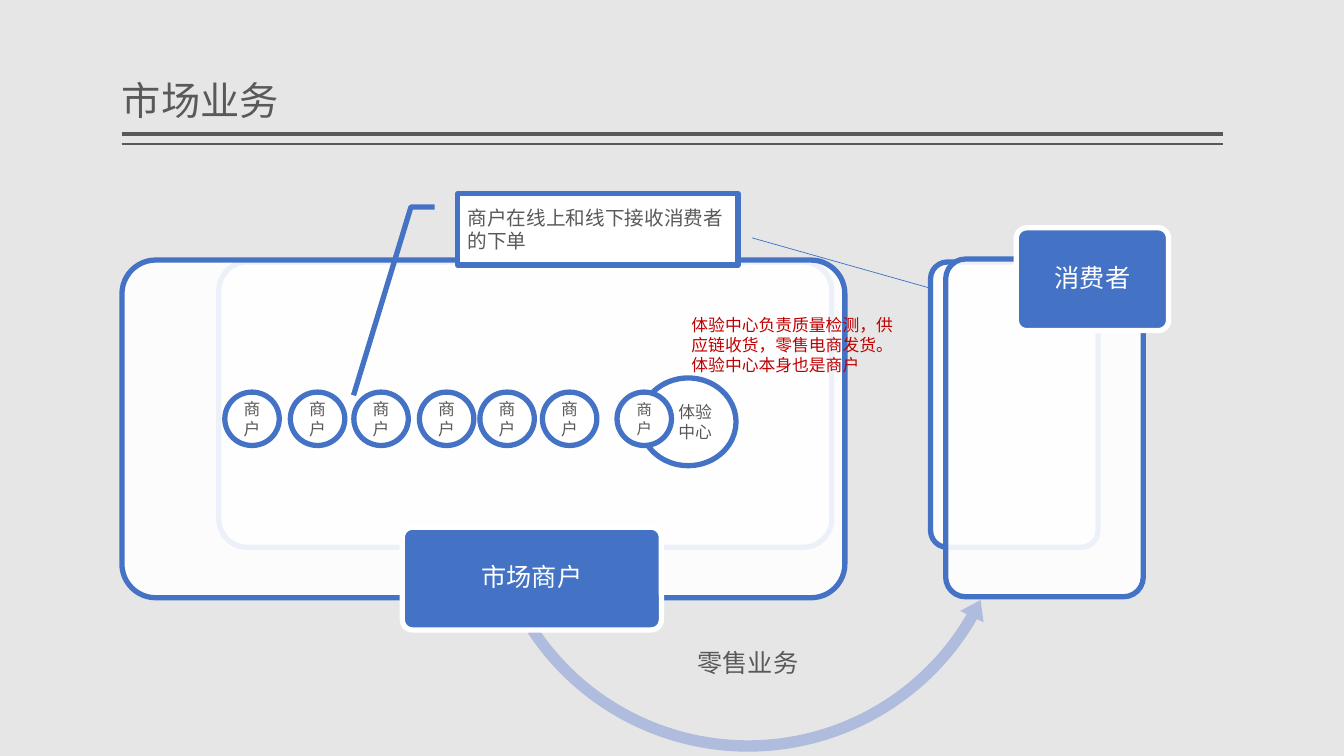
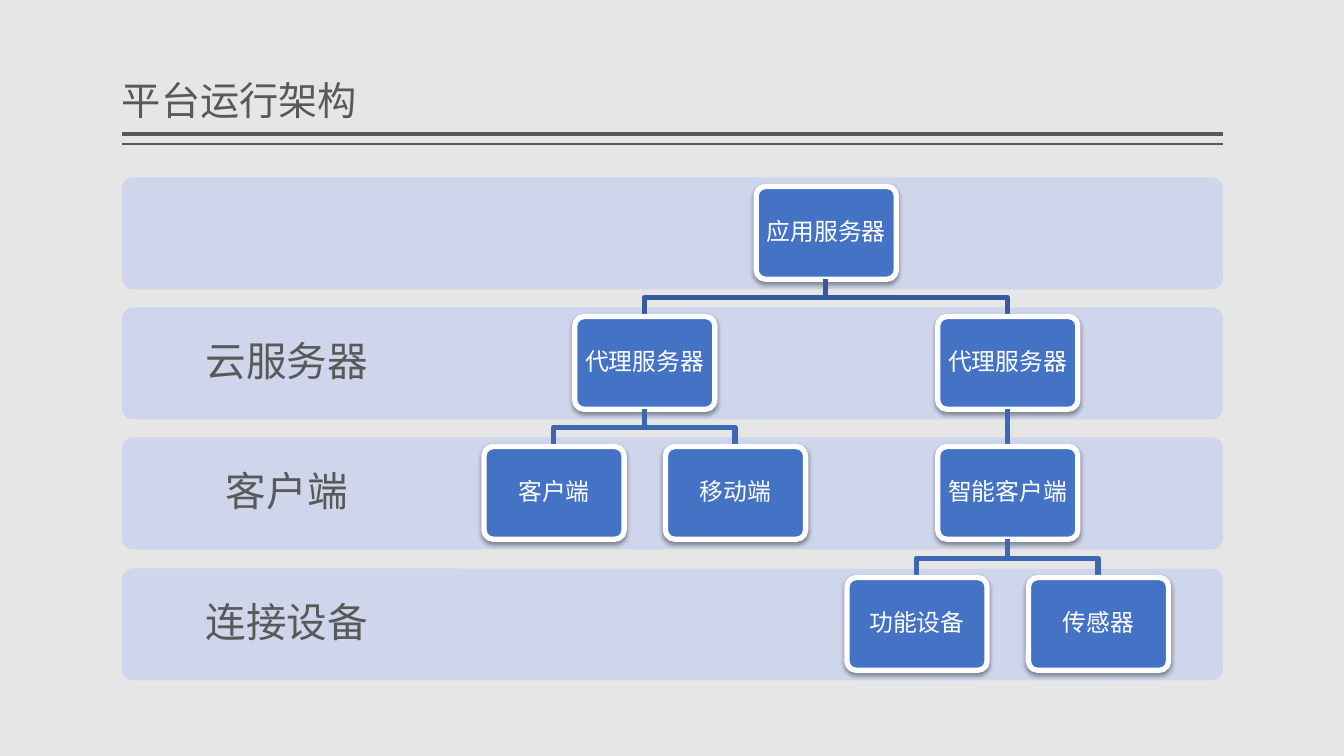
from lxml import etree
from pptx import Presentation
from pptx.dml.color import RGBColor
from pptx.enum.shapes import MSO_CONNECTOR, MSO_SHAPE
from pptx.enum.text import MSO_ANCHOR, PP_ALIGN
from pptx.oxml.ns import qn
from pptx.util import Emu, Pt

ROUND = MSO_SHAPE.ROUNDED_RECTANGLE
OVAL = MSO_SHAPE.OVAL
ARC = MSO_SHAPE.LEFT_CIRCULAR_ARROW
CALLOUT = MSO_SHAPE.LINE_CALLOUT_2
STRAIGHT = MSO_CONNECTOR.STRAIGHT
LEFT, CENTER, RIGHT = PP_ALIGN.LEFT, PP_ALIGN.CENTER, PP_ALIGN.RIGHT
TOP, MIDDLE, BOTTOM = MSO_ANCHOR.TOP, MSO_ANCHOR.MIDDLE, MSO_ANCHOR.BOTTOM

PX = 9144


class Theme:
    back = RGBColor.from_string("E7E6E6")
    ink = RGBColor.from_string("595959")
    blue = RGBColor.from_string("4472C4")
    white = RGBColor.from_string("FFFFFF")
    red = RGBColor.from_string("BF0102")
    arc = RGBColor.from_string("B0BCDE")
    band = RGBColor.from_string("CFD5EA")
    thin = RGBColor.from_string("3F6FC3")
    trunk = RGBColor.from_string("365B9D")
    branch = RGBColor.from_string("3E67B2")
    latin = "Arial"
    asian = "Noto Sans CJK SC"
    title = Pt(28)
    label = Pt(29)
    head = Pt(18)
    card = Pt(17)
    call = Pt(14)
    note = Pt(12)
    small = Pt(11)
    edge = Pt(3.78)
    rule = Pt(3)
    fine = Pt(1)
    hair = Pt(0.5)


def draw(slide, kind, at, fill, edge=None, adjust=()):
    shape = slide.shapes.add_shape(kind, *[Emu(n * PX) for n in at])
    shape.shadow.inherit = False
    shape.fill.solid()
    shape.fill.fore_color.rgb = fill
    if edge is None:
        shape.line.fill.background()
    else:
        shape.line.color.rgb = edge
        shape.line.width = Theme.edge
    if kind == ROUND:
        adjust = (0.1,)
    for i, value in enumerate(adjust):
        shape.adjustments[i] = value
    return shape


def write(shape, text, size, color=Theme.ink, align=CENTER, anchor=MIDDLE,
          pad=(10, 5), space=None, font=Theme.asian):
    frame = shape.text_frame
    frame.word_wrap = True
    frame.vertical_anchor = anchor
    frame.margin_left = frame.margin_right = Emu(pad[0] * PX)
    frame.margin_top = frame.margin_bottom = Emu(pad[1] * PX)
    para = frame.paragraphs[0]
    para.alignment = align
    para.line_spacing = space
    run = para.add_run()
    run.text = text
    run.font.size = size
    run.font.color.rgb = color
    run.font.name = font
    etree.SubElement(run.font._element, qn("a:ea"), typeface=Theme.asian)


deck = Presentation()
deck.slide_width, deck.slide_height = Emu(1333 * PX), Emu(750 * PX)
back = deck.slide_master.background.fill
back.solid()
back.fore_color.rgb = Theme.back

lines = []
slides = []
for title in ("市场业务", "平台运行架构"):
    slide = deck.slides.add_slide(deck.slide_layouts[6])
    slides.append(slide)
    for y, width in ((133, Theme.rule), (143, Theme.fine)):
        line = slide.shapes.add_connector(
            STRAIGHT, Emu(121 * PX), Emu(y * PX), Emu(1213 * PX), Emu(y * PX))
        line.line.color.rgb = Theme.ink
        line.line.width = width
        lines.append(line)
    box = slide.shapes.add_textbox(*[Emu(n * PX) for n in (121, 8, 1092, 120)])
    write(box, title, Theme.title, align=LEFT, anchor=BOTTOM,
          pad=(0, 5), space=0.9, font=Theme.latin)
market, stack = slides

panels = [(923, 260, 166, 283), (217, 260, 608, 283),
          (121, 258, 717, 335), (938, 257, 196, 335)]
badges = {2: ("市场商户", (399, 523, 257, 102)),
          3: ("消费者", (1008, 226, 151, 102))}
for i, at in enumerate(panels):
    panel = draw(market, ROUND, at, Theme.white, Theme.blue)
    tint = panel._element.spPr.find(qn("a:solidFill"))[0]
    etree.SubElement(tint, qn("a:alpha"), val="90000")
    if i == 2:
        draw(market, ARC, (473, 215, 538, 538), Theme.arc,
             adjust=(0.021, 2.489, 17.953, 87.953, 0.024))
    if i in badges:
        text, at = badges[i]
        badge = draw(market, ROUND, at, Theme.blue, Theme.white)
        write(badge, text, Theme.head, Theme.white, pad=(4, 3), space=0.9)

hub = draw(market, OVAL, (635, 375, 95, 87), Theme.white, Theme.blue)
write(hub, "体验中心", Theme.note, align=RIGHT)
for x in (223, 288, 351, 416, 476, 538, 612):
    shop = draw(market, OVAL, (x, 389, 54, 53), Theme.white, Theme.blue)
    write(shop, "商户", Theme.small if x == 612 else Theme.note)

notes = [
    ((682, 637, 129, 40), "零售业务", Theme.head, Theme.ink),
    ((676, 307, 224, 71),
     "体验中心负责质量检测，供应链收货，零售电商发货。体验中心本身也是商户",
     Theme.note, Theme.red),
]
for at, text, size, color in notes:
    box = market.shapes.add_textbox(*[Emu(n * PX) for n in at])
    write(box, text, size, color, align=LEFT, anchor=TOP)

call = draw(market, CALLOUT, (454, 192, 278, 71), Theme.white, Theme.blue,
            (0.188, -0.083, 0.188, -0.167, 2.82, -0.372))
write(call, "商户在线上和线下接收消费者的下单", Theme.call, align=LEFT)
line = market.shapes.add_connector(
    STRAIGHT, *[Emu(n * PX) for n in (746, 236, 923, 286)])
line.line.color.rgb = Theme.thin
line.line.width = Theme.hair
lines.append(line)

rows = [176 + 388 * i // 3 for i in range(4)]
for y, text in zip(rows, ("", "云服务器", "客户端", "连接设备")):
    draw(stack, ROUND, (121, y, 1092, 111), Theme.band)
    if text:
        box = stack.shapes.add_textbox(
            *[Emu(n * PX) for n in (121, y, 327, 111)])
        write(box, text, Theme.label, pad=(23, 23), space=0.9)

WIDE, HIGH = 139, 92
nodes = [
    ("应用服务器", 0, 3, None),
    ("代理服务器", 1, 1, 3),
    ("客户端", 2, 0, 1),
    ("移动端", 2, 2, 1),
    ("代理服务器", 1, 5, 3),
    ("智能客户端", 2, 5, 5),
    ("功能设备", 3, 4, 5),
    ("传感器", 3, 6, 5),
]
for text, row, col, above in nodes:
    x, y = 480 + 90 * col, rows[row] + 9
    if above is not None:
        start = 480 + 90 * above + WIDE // 2
        end = x + WIDE // 2
        foot = rows[row - 1] + 9 + HIGH
        if start == end:
            link = stack.shapes.add_connector(
                STRAIGHT, *[Emu(n * PX) for n in (start, foot, end, y)])
            lines.append(link)
        else:
            mid = (foot + y) // 2
            pen = stack.shapes.build_freeform(start, foot, scale=PX)
            pen.add_line_segments(
                [(start, mid), (end, mid), (end, y)], close=False)
            link = pen.convert_to_shape()
            link.fill.background()
            link.shadow.inherit = False
        link.line.color.rgb = Theme.trunk if row == 1 else Theme.branch
        link.line.width = Theme.edge
    card = draw(stack, ROUND, (x, y, WIDE, HIGH), Theme.blue, Theme.white)
    glow = etree.SubElement(
        card._element.spPr.find(qn("a:effectLst")), qn("a:outerShdw"),
        blurRad=str(Pt(3.5)), dist=str(Pt(2)), dir="5400000", rotWithShape="0")
    shade = etree.SubElement(glow, qn("a:srgbClr"), val="000000")
    etree.SubElement(shade, qn("a:alpha"), val="38000")
    write(card, text, Theme.card, Theme.white, pad=(7, 7), space=0.9)

for line in lines:
    etree.SubElement(line._element.spPr, qn("a:effectLst"))

deck.save("out.pptx")
